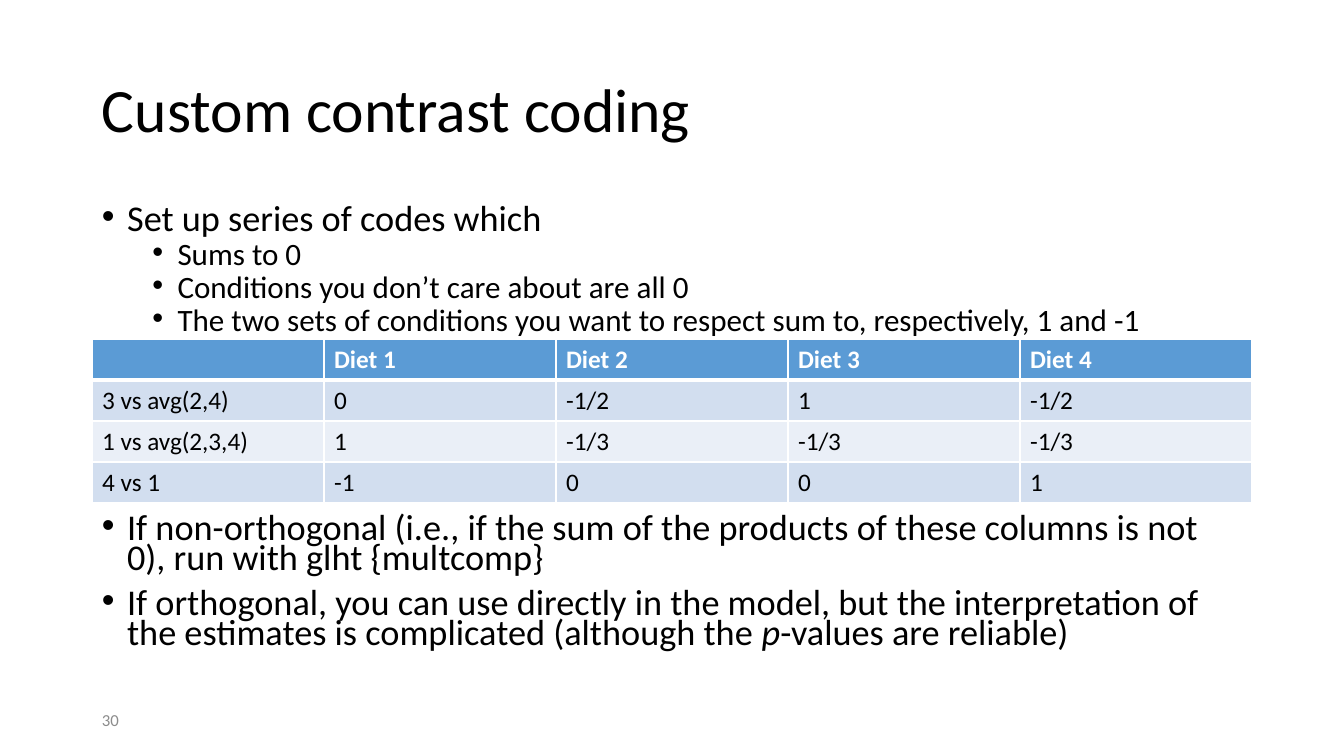
import pptx
import pptx.dml.color
import pptx.enum.text
import pptx.oxml
import pptx.oxml.ns
import pptx.util

PX = 9144000 / 1008
FONT = "Calibri"
BLACK = pptx.dml.color.RGBColor(0x00, 0x00, 0x00)
WHITE = pptx.dml.color.RGBColor(0xFF, 0xFF, 0xFF)
GREY = pptx.dml.color.RGBColor(0x8C, 0x8C, 0x8C)
HEADER = pptx.dml.color.RGBColor(0x5B, 0x9B, 0xD5)
BAND_DARK = pptx.dml.color.RGBColor(0xD2, 0xDE, 0xEF)
BAND_LIGHT = pptx.dml.color.RGBColor(0xEA, 0xEF, 0xF7)

LEFT = 92
WIDTH = 1159
COLUMN = 232
ROW = 41

RULES = [
    (0, ["Set up series of codes which"]),
    (1, ["Sums to 0"]),
    (1, ["Conditions you don’t care about are all 0"]),
    (1, ["The two sets of conditions you want to respect sum to, respectively, 1 and -1"]),
]
ADVICE = [
    (0, ["If non-orthogonal (i.e., if the sum of the products of these columns "
         "is not 0), run with glht {multcomp}"]),
    (0, ["If orthogonal, you can use directly in the model, but the interpretation "
         "of the estimates is complicated (although the ", "p", "-values are reliable)"]),
]
CONTRASTS = [
    ["", "Diet 1", "Diet 2", "Diet 3", "Diet 4"],
    ["3 vs avg(2,4)", "0", "-1/2", "1", "-1/2"],
    ["1 vs avg(2,3,4)", "1", "-1/3", "-1/3", "-1/3"],
    ["4 vs 1", "-1", "0", "0", "1"],
]


def px(n):
    return pptx.util.Emu(round(n * PX))


def style(r, size, color, bold=False, italic=False):
    r.font.name = FONT
    r.font.size = pptx.util.Pt(size)
    r.font.color.rgb = color
    r.font.bold = bold
    r.font.italic = italic


def add_box(slide, top, width, height):
    sp = slide.shapes.add_textbox(px(LEFT), px(top), px(width), px(height))
    tf = sp.text_frame
    tf.word_wrap = True
    return tf


def add_label(slide, top, width, height, text, size, color):
    tf = add_box(slide, top, width, height)
    tf.vertical_anchor = pptx.enum.text.MSO_ANCHOR.MIDDLE
    tf.text = text
    p = tf.paragraphs[0]
    p.line_spacing = 0.9
    style(p.runs[0], size, color)


def set_bullet(p, level):
    pPr = p._p.get_or_add_pPr()
    pPr.set("marL", str(pptx.util.Inches(0.25 + 0.5 * level)))
    pPr.set("indent", str(pptx.util.Inches(-0.25)))
    ns = pptx.oxml.ns.nsdecls("a")
    pPr.append(pptx.oxml.parse_xml(f'<a:buFont {ns} typeface="Arial"/>'))
    pPr.append(pptx.oxml.parse_xml(f'<a:buChar {ns} char="•"/>'))


def add_bullets(slide, top, height, items):
    tf = add_box(slide, top, WIDTH, height)
    for i, (level, pieces) in enumerate(items):
        p = tf.add_paragraph() if i else tf.paragraphs[0]
        p.level = level
        p.line_spacing = 0.7
        p.space_before = pptx.util.Pt(5 if level else 10)
        set_bullet(p, level)
        for j, piece in enumerate(pieces):
            r = p.add_run()
            r.text = piece
            style(r, 22.2 if level else 25.9, BLACK, italic=j % 2 == 1)


def set_borders(cell, row):
    tcPr = cell._tc.get_or_add_tcPr()
    widths = {"L": 1, "R": 1, "T": 3 if row == 1 else 1, "B": 3 if row == 0 else 1}
    for side, width in widths.items():
        tcPr.append(pptx.oxml.parse_xml(
            f'<a:ln{side} {pptx.oxml.ns.nsdecls("a")} w="{pptx.util.Pt(width)}">'
            f'<a:solidFill><a:srgbClr val="{WHITE}"/></a:solidFill></a:ln{side}>'))


def add_contrast_table(slide, top, rows):
    n, m = len(rows), len(rows[0])
    table = slide.shapes.add_table(
        n, m, px(LEFT), px(top), px(m * COLUMN), px(n * ROW)).table
    for column in table.columns:
        column.width = px(COLUMN)
    for i, values in enumerate(rows):
        table.rows[i].height = px(ROW)
        fill = HEADER if i == 0 else BAND_DARK if i % 2 else BAND_LIGHT
        for j, value in enumerate(values):
            cell = table.cell(i, j)
            set_borders(cell, i)
            cell.fill.solid()
            cell.fill.fore_color.rgb = fill
            cell.text = value
            for r in cell.text_frame.paragraphs[0].runs:
                style(r, 18, BLACK if i else WHITE, bold=i == 0)


def main():
    prs = pptx.Presentation()
    prs.slide_width, prs.slide_height = px(1344), px(756)
    slide = prs.slides.add_slide(prs.slide_layouts[6])
    add_label(slide, 40, WIDTH, 146, "Custom contrast coding", 44, BLACK)
    add_bullets(slide, 202, 137, RULES)
    add_contrast_table(slide, 339, CONTRASTS)
    add_bullets(slide, 511, 170, ADVICE)
    add_label(slide, 701, 302, 40, "30", 12, GREY)
    prs.save("out.pptx")


if __name__ == "__main__":
    main()
